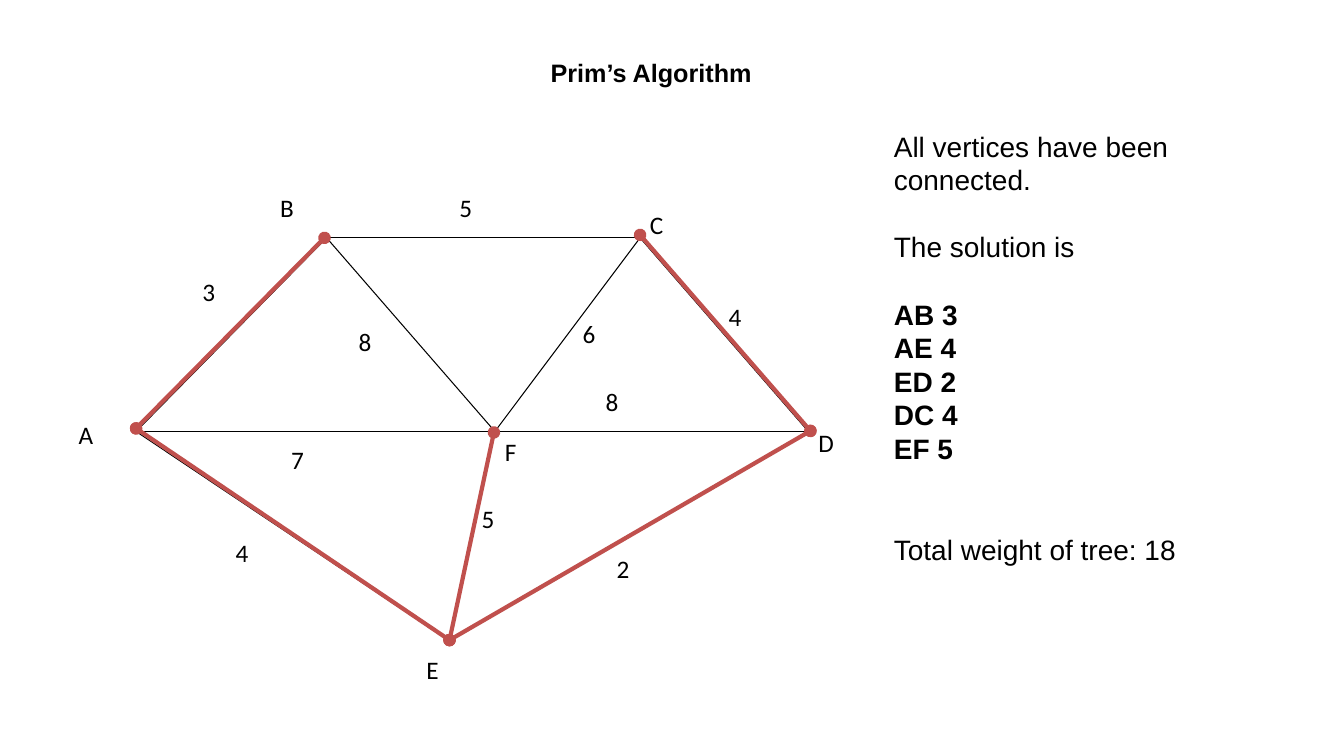
from dataclasses import dataclass

import lxml.etree
import pptx
import pptx.dml.color
import pptx.enum.shapes
import pptx.enum.text
import pptx.oxml
import pptx.oxml.ns
import pptx.util

Pt = pptx.util.Pt
BLACK = "000000"
RED = "C0504D"


@dataclass(frozen=True)
class Point:
    x: float
    y: float


@dataclass(frozen=True)
class Label:
    text: str
    left: float
    top: float


@dataclass(frozen=True)
class Line:
    text: str
    bold: bool = False
    blank_before: int = 0


# Graph: vertices, edges, and the edges chosen for the tree
VERTICES = {
    "A": Point(97.2, 308.2), "B": Point(233.3, 169.9), "C": Point(457.2, 169.9),
    "D": Point(577.4, 308.2), "E": Point(321.1, 457.9), "F": Point(353.5, 308.2),
}
EDGES = ["AB", "BC", "CD", "AF", "FD", "BF", "FC", "AE", "EF", "ED"]
TREE_VERTICES = {
    "A": Point(97.2, 306), "B": Point(231.8, 169.9), "C": Point(457.2, 167.8),
    "D": Point(578.9, 307.8), "E": Point(321.1, 457.2), "F": Point(352.8, 308.9),
}
TREE_EDGES = ["AB", "AE", "ED", "DC", "EF"]

LABELS = [
    # Vertex names
    Label("A", 49, 295.9), Label("F", 353.5, 308.2), Label("B", 193, 133.9),
    Label("C", 457.2, 146.2), Label("D", 577.4, 301.7), Label("E", 297.4, 463.7),
    # Edge weights
    Label("2", 433.4, 391.7), Label("7", 200.9, 313.9), Label("4", 161.3, 380.2),
    Label("5", 337, 355.7), Label("8", 249.1, 229.7), Label("6", 409, 223.9),
    Label("4", 513.4, 211.7), Label("5", 321.1, 133.9), Label("3", 137.5, 193.7),
    Label("8", 425.5, 272.2),
]

SOLUTION = [
    Line("All vertices have been"),
    Line("connected."),
    Line("The solution is", blank_before=1),
    Line("AB 3", bold=True, blank_before=1),
    Line("AE 4", bold=True),
    Line("ED 2", bold=True),
    Line("DC 4", bold=True),
    Line("EF 5", bold=True),
    Line("Total weight of tree: 18", blank_before=2),
]
LINE_PITCH = 24


def colour(value: str) -> pptx.dml.color.RGBColor:
    return pptx.dml.color.RGBColor.from_string(value)


def set_font(para, name: str, size: float, bold: bool = False) -> None:
    para.font.name = name
    para.font.size = Pt(size)
    para.font.bold = bold
    para.font.color.rgb = colour(BLACK)


def place(box, left: float, top: float, width: float, height: float) -> None:
    box.left, box.top, box.width, box.height = Pt(left), Pt(top), Pt(width), Pt(height)


def prepare_frame(box) -> None:
    frame = box.text_frame
    frame.word_wrap = True
    frame.auto_size = pptx.enum.text.MSO_AUTO_SIZE.NONE
    frame.vertical_anchor = pptx.enum.text.MSO_ANCHOR.TOP


def add_box(page, left: float, top: float, width: float, height: float):
    box = page.shapes.add_textbox(Pt(left), Pt(top), Pt(width), Pt(height))
    prepare_frame(box)
    return box


def add_edge(page, start: Point, end: Point, hex_value: str, width: float,
             dotted_ends: bool = False) -> None:
    edge = page.shapes.add_connector(
        pptx.enum.shapes.MSO_CONNECTOR.STRAIGHT,
        Pt(start.x), Pt(start.y), Pt(end.x), Pt(end.y))
    edge.line.color.rgb = colour(hex_value)
    edge.line.width = Pt(width)
    if dotted_ends:
        outline = edge.line._get_or_add_ln()
        for tag in ("a:headEnd", "a:tailEnd"):
            lxml.etree.SubElement(outline, pptx.oxml.ns.qn(tag), type="oval")
    properties = edge._element.spPr
    lxml.etree.SubElement(properties, pptx.oxml.ns.qn("a:effectLst"))


def add_label(page, label: Label) -> None:
    box = add_box(page, label.left, label.top, 48, 28.8)
    para = box.text_frame.paragraphs[0]
    para.text = label.text
    set_font(para, "Calibri", 18)


def add_solution(page, lines: list[Line]) -> None:
    frame = add_box(page, 631.4, 88.6, 302.4, 346.3).text_frame
    for index, line in enumerate(lines):
        para = frame.add_paragraph() if index else frame.paragraphs[0]
        para.text = line.text
        para.line_spacing = Pt(LINE_PITCH)
        para.space_before = Pt(LINE_PITCH * line.blank_before)
        set_font(para, "Arial", 20, line.bold)


def add_title(page, text: str) -> None:
    title = page.shapes.title
    place(title, 87.1, 37.4, 756, 28.8)
    prepare_frame(title)
    para = title.text_frame.paragraphs[0]
    para.text = text
    para.alignment = pptx.enum.text.PP_ALIGN.CENTER
    set_font(para, "Arial", 18, bold=True)


def main() -> None:
    deck = pptx.Presentation()
    deck.slide_width, deck.slide_height = Pt(960), Pt(540)
    page = deck.slides.add_slide(deck.slide_layouts.get_by_name("Title Only"))
    add_title(page, "Prim’s Algorithm")

    # Whole graph
    for start, end in EDGES:
        add_edge(page, VERTICES[start], VERTICES[end], BLACK, 0.75)
    for label in LABELS:
        add_label(page, label)

    # Solution text and spanning tree
    add_solution(page, SOLUTION)
    for start, end in TREE_EDGES:
        add_edge(page, TREE_VERTICES[start], TREE_VERTICES[end], RED, 3, dotted_ends=True)

    deck.save("out.pptx")


if __name__ == "__main__":
    main()
